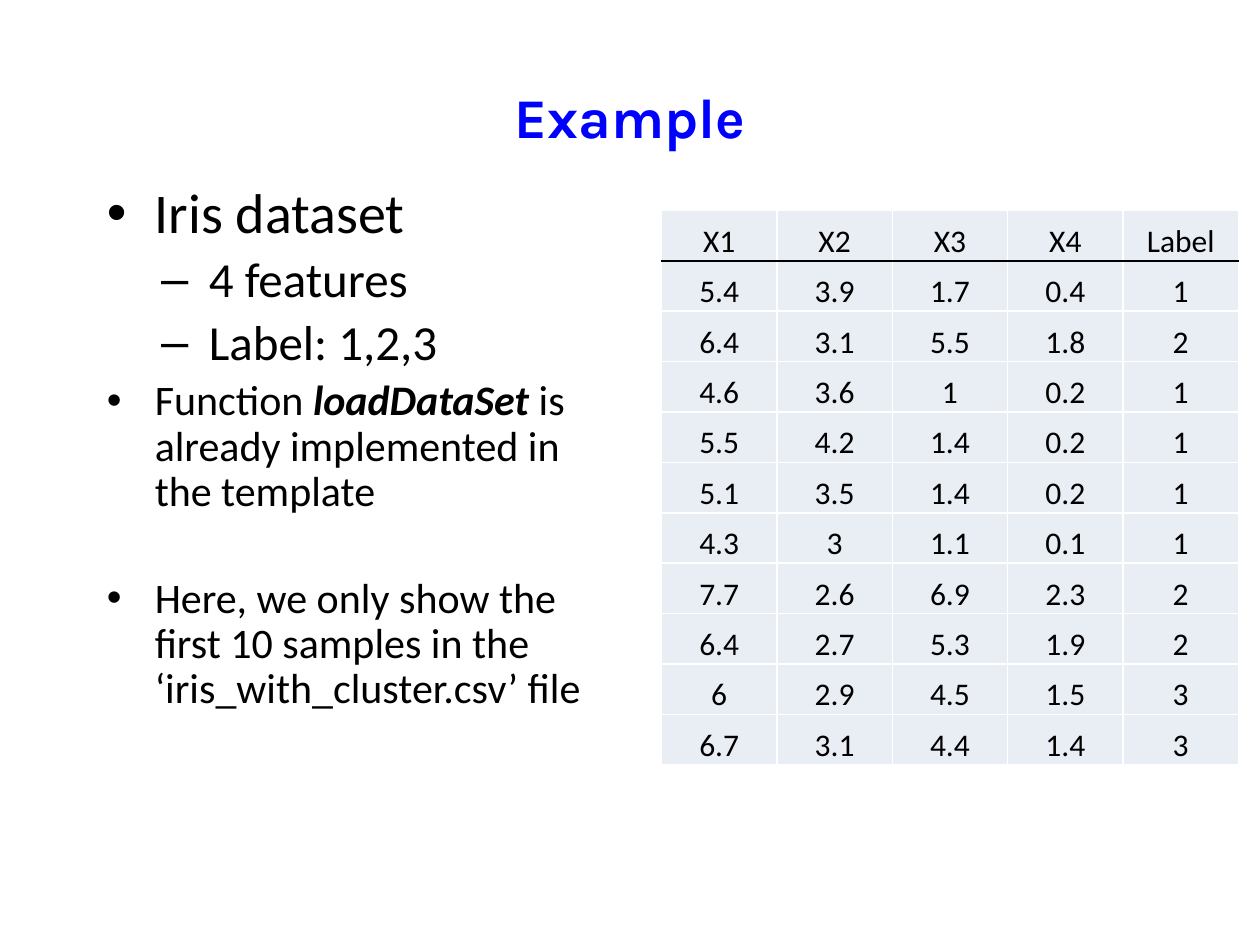
from lxml import etree
from pptx import Presentation
from pptx.dml.color import RGBColor
from pptx.enum import text
from pptx.oxml import ns
from pptx.util import Inches, Pt

COLORS = {"title": "0000FF", "text": "000000", "cell": "E9EDF4", "grid": "FFFFFF", "rule": "000000"}
TITLE = "Example"
BULLETS = [
    (0, 32, None, [("Iris dataset", False)]),
    (1, 28, None, [("4 features", False)]),
    (1, 28, None, [("Label: 1,2,3", False)]),
    (0, 24, None, [("Function ", False), ("loadDataSet ", True),
                   ("is already implemented in the template", False)]),
    (0, 24, 35, [("Here, we only show the first 10 samples in the ‘iris_with_cluster.csv’ file", False)]),
]
LEVELS = [("•", 0.38), ("–", 0.81)]
HANGING = 0.38
SAMPLES = [
    ("X1", "X2", "X3", "X4", "Label"),
    (5.4, 3.9, 1.7, 0.4, 1),
    (6.4, 3.1, 5.5, 1.8, 2),
    (4.6, 3.6, 1, 0.2, 1),
    (5.5, 4.2, 1.4, 0.2, 1),
    (5.1, 3.5, 1.4, 0.2, 1),
    (4.3, 3, 1.1, 0.1, 1),
    (7.7, 2.6, 6.9, 2.3, 2),
    (6.4, 2.7, 5.3, 1.9, 2),
    (6, 2.9, 4.5, 1.5, 3),
    (6.7, 3.1, 4.4, 1.4, 3),
]


def style(font, name, size, color):
    font.name = name
    font.size = Pt(size)
    font.color.rgb = RGBColor.from_string(COLORS[color])


def add_text(page, left, top, width, height):
    frame = page.shapes.add_textbox(Inches(left), Inches(top), Inches(width), Inches(height)).text_frame
    frame.word_wrap = True
    return frame


def set_bullet(para, level):
    mark, indent = LEVELS[level]
    para.level = level
    props = para._p.get_or_add_pPr()
    props.set("marL", str(Inches(indent)))
    props.set("indent", str(-Inches(HANGING)))
    etree.SubElement(props, ns.qn("a:buFont")).set("typeface", "Arial")
    etree.SubElement(props, ns.qn("a:buChar")).set("char", mark)


def set_border(cell, side, color):
    line = etree.SubElement(cell._tc.get_or_add_tcPr(), ns.qn("a:ln" + side))
    line.set("w", str(Pt(1)))
    fill = etree.SubElement(line, ns.qn("a:solidFill"))
    etree.SubElement(fill, ns.qn("a:srgbClr")).set("val", COLORS[color])


deck = Presentation()
deck.slide_width, deck.slide_height = Inches(10), Inches(7.5)
page = deck.slides.add_slide(deck.slide_layouts[6])

frame = add_text(page, 0.5, 0.3, 9, 1.25)
frame.vertical_anchor = text.MSO_ANCHOR.MIDDLE
para = frame.paragraphs[0]
para.text = TITLE
para.alignment = text.PP_ALIGN.CENTER
style(para.font, "Karla", 32, "title")
para.font.bold = True

frame = add_text(page, 0.75, 1.42, 4.25, 5.58)
for index, (level, size, gap, spans) in enumerate(BULLETS):
    para = frame.add_paragraph() if index else frame.paragraphs[0]
    para.line_spacing = 0.9
    para.space_before = Pt(gap or size * 0.2)
    set_bullet(para, level)
    style(para.font, "Calibri", size, "text")
    for words, strong in spans:
        span = para.add_run()
        span.text = words
        if strong:
            span.font.bold = span.font.italic = True

rows, columns = len(SAMPLES), len(SAMPLES[0])
table = page.shapes.add_table(rows, columns, Inches(5.25), Inches(1.67), Inches(4.58), Inches(0.4 * rows)).table
table.horz_banding = False
for r, sample in enumerate(SAMPLES):
    for c, value in enumerate(sample):
        cell = table.cell(r, c)
        cell.margin_left = cell.margin_right = cell.margin_top = Inches(0.01)
        cell.margin_bottom = 0
        cell.vertical_anchor = text.MSO_ANCHOR.BOTTOM
        for side in "LRTB":
            ruled = (r, side) in ((0, "B"), (1, "T"))
            set_border(cell, side, "rule" if ruled else "grid")
        cell.fill.solid()
        cell.fill.fore_color.rgb = RGBColor.from_string(COLORS["cell"])
        para = cell.text_frame.paragraphs[0]
        para.text = str(value)
        para.alignment = text.PP_ALIGN.CENTER
        style(para.font, "Calibri", 18, "text")
        para.font.bold = False

deck.save("out.pptx")
